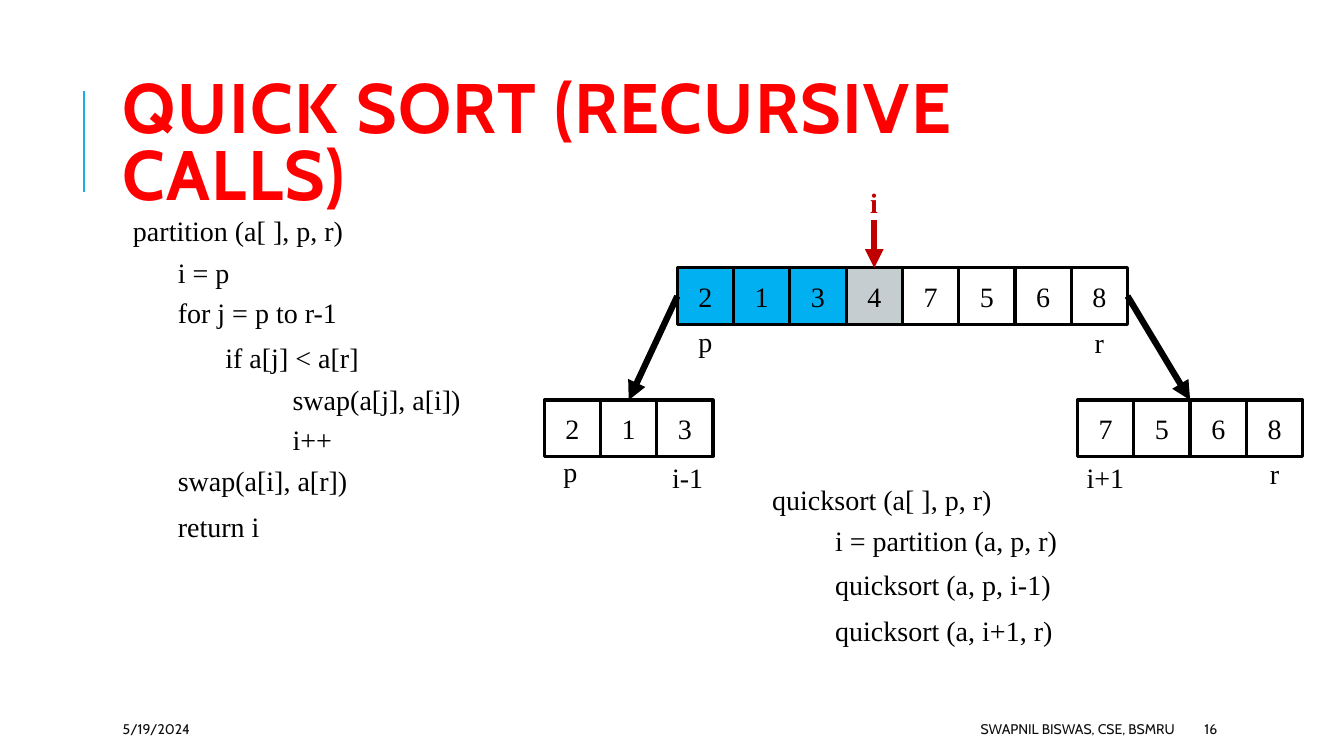
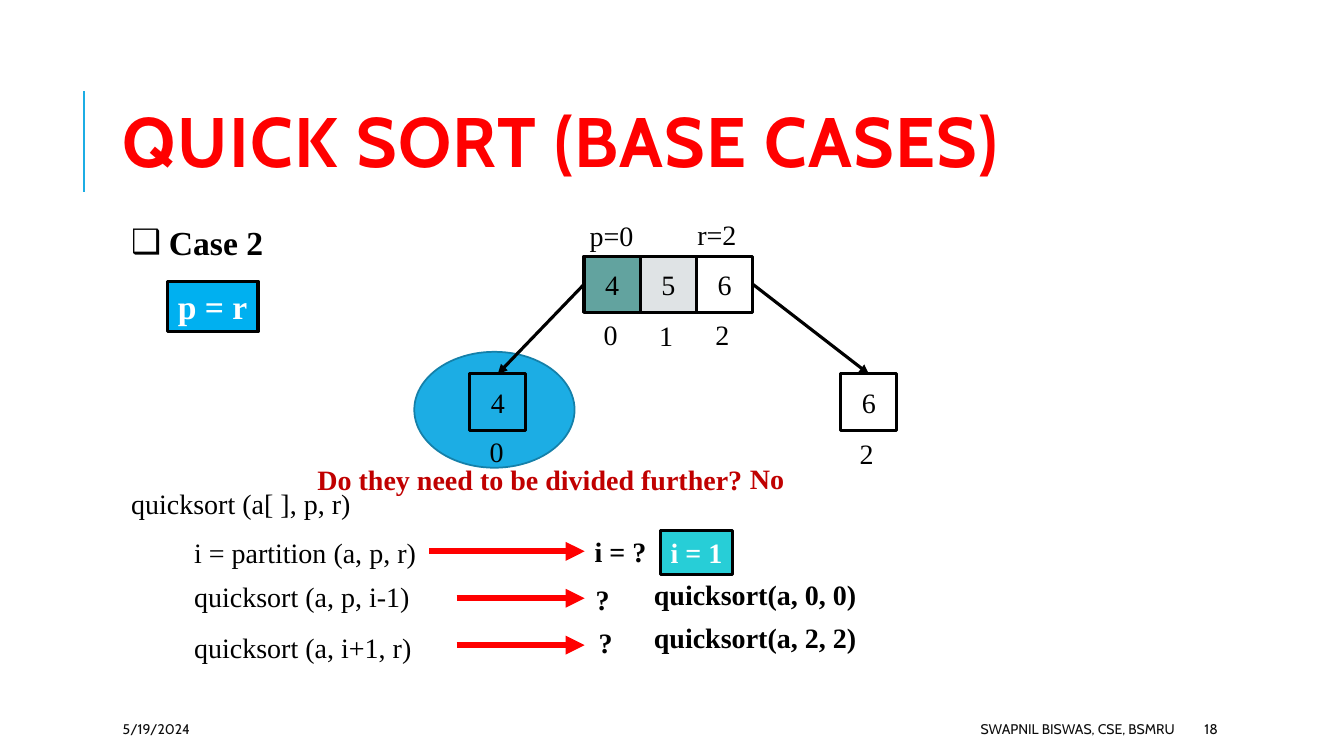
from dataclasses import dataclass

from lxml import etree
from pptx import Presentation
from pptx import util as u
from pptx.dml.color import RGBColor
from pptx.enum import shapes, text
from pptx.oxml import ns


@dataclass(frozen=True)
class Theme:
    heading_font: str = "Cabin"
    body_font: str = "Times New Roman"
    title_size: int = 50
    case_size: int = 24
    body_size: int = 20
    footer_size: int = 10
    title: str = "FF0000"
    arrow: str = "FF0000"
    alert: str = "C00000"
    ink: str = "000000"
    footer: str = "0D0D0D"
    white: str = "FFFFFF"
    accent: str = "1CADE4"
    accent_edge: str = "1580A9"
    smaller: str = "00B0F0"
    pivot: str = "C6CDD1"
    teal: str = "62A39F"
    pale: str = "DFE3E5"
    cyan: str = "27CED7"


theme = Theme()
CELL = 40.2
OUTLINE = 2.25
THICK = 4.5
FOOTERS = [(80.6, 170, "5/19/2024", text.PP_ALIGN.LEFT),
           (381.6, 464.4, "SWAPNIL BISWAS, CSE, BSMRU", text.PP_ALIGN.RIGHT)]
STYLES = {"plain": (theme.ink, False), "strong": (theme.ink, True), "alert": (theme.alert, True)}


def format_paragraph(paragraph, words, size=theme.body_size, colour=theme.ink, bold=False,
                     font=theme.body_font, align=text.PP_ALIGN.LEFT):
    paragraph.text = words
    paragraph.alignment = align
    paragraph.font.name = font
    paragraph.font.size = u.Pt(size)
    paragraph.font.bold = bold
    paragraph.font.color.rgb = RGBColor.from_string(colour)


def add_line(slide, start, end, colour, weight, arrow=True):
    """Draw a line; each end is an (x, y) point or a (shape, site) joint."""
    points = [(0, 0) if hasattr(place[0], "shape_id") else place for place in (start, end)]
    line = slide.shapes.add_connector(
        shapes.MSO_CONNECTOR.STRAIGHT, *(u.Pt(value) for point in points for value in point))
    for place, connect in ((start, line.begin_connect), (end, line.end_connect)):
        if hasattr(place[0], "shape_id"):
            connect(*place)
    line.line.color.rgb = RGBColor.from_string(colour)
    line.line.width = u.Pt(weight)
    if arrow:
        etree.SubElement(line.line._get_or_add_ln(), ns.qn("a:tailEnd"), type="triangle")
    etree.SubElement(line._element.spPr, ns.qn("a:effectLst"))


# Rows: name -> left, top, values, fills by index.
# Lists: left, top, width, height, size, bold, bullet, lines of (indent, space before, words).
# Labels: left, top, width, words, style.
# Arrows: start, end, colour, weight; an end is a point or (row, index, site).
pages = [
    {
        "title": "QUICK SORT (RECURSIVE CALLS)",
        "number": "16",
        "ellipses": [],
        "rows": {
            "array": (483.8, 191.4, "21347568",
                      {0: theme.smaller, 1: theme.smaller, 2: theme.smaller, 3: theme.pivot}),
            "left": (388.8, 285.8, "213", {}),
            "right": (769.7, 285.8, "7568", {}),
        },
        "lists": [
            (87.8, 149, 260, 240, theme.body_size, False, None, [
                (0, 0, "partition (a[ ], p, r)"),
                (32, 5.8, "i = p"),
                (32, 4.4, "for j = p to r-1"),
                (66, 8.7, "if a[j] < a[r]"),
                (114, 5.8, "swap(a[j], a[i])"),
                (114, 4.4, "i++"),
                (32, 5.1, "swap(a[i], a[r])"),
                (32, 8.7, "return i")]),
            (544.3, 341.3, 250, 125, theme.body_size, False, None, [
                (0, 0, "quicksort (a[ ], p, r)"),
                (45, 5.1, "i = partition (a, p, r)"),
                (45, 7.2, "quicksort (a, p, i-1)"),
                (45, 8.7, "quicksort (a, i+1, r)")]),
        ],
        "labels": [
            (614.5, 128.9, 20.2, "i", "alert"),
            (491.8, 228.2, 24.5, "p", "plain"),
            (774.7, 229, 20.9, "r", "plain"),
            (395.3, 321.1, 24.5, "p", "plain"),
            (473, 325.4, 36.7, "i-1", "plain"),
            (769, 325.4, 41.8, "i+1", "plain"),
            (900, 322.6, 20.9, "r", "plain"),
        ],
        "badges": [],
        "arrows": [
            ((624.5, 157), ("array", 3, 0), theme.alert, THICK),
            (("array", 0, 1), ("left", 1, 0), theme.ink, THICK),
            (("array", 7, 3), (769.7 + 2 * CELL, 285.8), theme.ink, THICK),
        ],
    },
    {
        "title": "QUICK SORT (BASE CASES)",
        "number": "18",
        "ellipses": [(295.9, 251.3, 114.5, 82.8)],
        "rows": {
            "array": (417.2, 183, "456", {0: theme.teal, 1: theme.pale}),
            "left": (335.5, 267.1, "4", {}),
            "right": (600.5, 267.1, "6", {}),
        },
        "lists": [
            (86.4, 154.8, 130, 36, theme.case_size, True, "❑", [(27, 0, "Case 2")]),
            (86.4, 344.2, 250, 135, theme.body_size, False, None, [
                (0, 0, "quicksort (a[ ], p, r)"),
                (45, 10.8, "i = partition (a, p, r)"),
                (45, 7.2, "quicksort (a, p, i-1)"),
                (45, 12.3, "quicksort (a, i+1, r)")]),
        ],
        "labels": [
            (414, 152.6, 46, "p=0", "plain"),
            (491, 152, 42.5, "r=2", "plain"),
            (424.1, 223.2, 24.5, "0", "plain"),
            (463.7, 223.9, 24.5, "1", "plain"),
            (504, 223.2, 24.5, "2", "plain"),
            (342.7, 306.7, 24.5, "0", "plain"),
            (607, 308.2, 24.5, "2", "plain"),
            (219.6, 326.9, 320.4, "Do they need to be divided further?", "alert"),
            (528.5, 326.2, 39.6, "No", "alert"),
            (417.6, 378, 51.8, "i = ?", "strong"),
            (418.3, 412.6, 24.5, "?", "strong"),
            (420.5, 443.5, 24.5, "?", "strong"),
            (460, 409, 160, "quicksort(a, 0, 0)", "strong"),
            (460, 440, 160, "quicksort(a, 2, 2)", "strong"),
        ],
        "badges": [
            (119.5, 200.9, 64.8, 36, "p = r", theme.case_size, theme.smaller),
            (471.6, 378.7, 51.8, 31.7, "i = 1", theme.body_size, theme.cyan),
        ],
        "arrows": [
            (("array", 0, 1), ("left", 0, 0), theme.ink, OUTLINE),
            (("array", 2, 3), ("right", 0, 0), theme.ink, OUTLINE),
        ] + [((start, 393.8 + 33.5 * step), (417.6, 393.8 + 33.5 * step), theme.arrow, THICK)
             for step, start in enumerate((306.7, 326.2, 326.2))],
    },
]

presentation = Presentation()
presentation.slide_width = u.Pt(960)
presentation.slide_height = u.Pt(540)
two_content = presentation.slide_layouts[3]

for page in pages:
    slide = presentation.slides.add_slide(two_content)
    add_line(slide, (60, 136.8), (60, 64.8), theme.accent, 1.5, arrow=False)

    title = slide.shapes.title
    title.left, title.top, title.width, title.height = map(u.Pt, (80.6, 46.1, 765.4, 118.1))
    title.text_frame.auto_size = text.MSO_AUTO_SIZE.NONE
    title.text_frame.vertical_anchor = text.MSO_ANCHOR.MIDDLE
    paragraph = title.text_frame.paragraphs[0]
    format_paragraph(paragraph, page["title"], theme.title_size, theme.title, True,
                     theme.heading_font)
    paragraph.line_spacing = 0.8
    paragraph.runs[0]._r.get_or_add_rPr().set("spc", "100")

    for left, width, words, align in FOOTERS + [
            (853.2, 76.3, page["number"], text.PP_ALIGN.LEFT)]:
        footer = slide.shapes.add_textbox(*map(u.Pt, (left, 509.8, width, 21.6)))
        footer.text_frame.word_wrap = True
        footer.text_frame.vertical_anchor = text.MSO_ANCHOR.MIDDLE
        format_paragraph(footer.text_frame.paragraphs[0], words, theme.footer_size,
                         theme.footer, False, theme.heading_font, align)

    for bounds in page["ellipses"]:
        ellipse = slide.shapes.add_shape(shapes.MSO_SHAPE.OVAL, *map(u.Pt, bounds))
        ellipse.shadow.inherit = False
        ellipse.fill.solid()
        ellipse.fill.fore_color.rgb = RGBColor.from_string(theme.accent)
        ellipse.line.color.rgb = RGBColor.from_string(theme.accent_edge)
        ellipse.line.width = u.Pt(1.25)

    boxes = [((name, index), (left + index * CELL, top, CELL, CELL), value,
              theme.body_size, theme.ink, False, fills.get(index))
             for name, (left, top, values, fills) in page["rows"].items()
             for index, value in enumerate(values)]
    boxes += [(words, bounds, words, size, theme.white, True, fill)
              for *bounds, words, size, fill in page["badges"]]
    drawn = {}
    for key, bounds, words, size, colour, bold, fill in boxes:
        box = slide.shapes.add_shape(shapes.MSO_SHAPE.RECTANGLE, *map(u.Pt, bounds))
        box.shadow.inherit = False
        if fill:
            box.fill.solid()
            box.fill.fore_color.rgb = RGBColor.from_string(fill)
        else:
            box.fill.background()
        box.line.color.rgb = RGBColor.from_string(theme.ink)
        box.line.width = u.Pt(OUTLINE)
        box.text_frame.word_wrap = False
        box.text_frame.vertical_anchor = text.MSO_ANCHOR.MIDDLE
        format_paragraph(box.text_frame.paragraphs[0], words, size, colour, bold,
                         align=text.PP_ALIGN.CENTER)
        drawn[key] = box

    for body, (*bounds, size, bold, bullet, lines) in zip(
            list(slide.placeholders)[1:], page["lists"]):
        body.left, body.top, body.width, body.height = map(u.Pt, bounds)
        frame = body.text_frame
        frame.auto_size = text.MSO_AUTO_SIZE.NONE
        frame.vertical_anchor = text.MSO_ANCHOR.TOP
        for row, (indent, space, words) in enumerate(lines):
            paragraph = frame.add_paragraph() if row else frame.paragraphs[0]
            properties = paragraph._p.get_or_add_pPr()
            properties.set("marL", str(u.Pt(indent)))
            properties.set("indent", str(u.Pt(-indent if bullet else 0)))
            if bullet:
                etree.SubElement(properties, ns.qn("a:buChar"), char=bullet)
            else:
                etree.SubElement(properties, ns.qn("a:buNone"))
            format_paragraph(paragraph, words, size, bold=bold)
            paragraph.space_before = u.Pt(space)

    for left, top, width, words, style in page["labels"]:
        label = slide.shapes.add_textbox(*map(u.Pt, (left, top, width, 31.5)))
        label.text_frame.word_wrap = False
        label.text_frame.auto_size = text.MSO_AUTO_SIZE.SHAPE_TO_FIT_TEXT
        colour, bold = STYLES[style]
        format_paragraph(label.text_frame.paragraphs[0], words, colour=colour, bold=bold)

    for start, end, colour, weight in page["arrows"]:
        start, end = ((drawn[place[:2]], place[2]) if len(place) == 3 else place
                      for place in (start, end))
        add_line(slide, start, end, colour, weight)

presentation.save("out.pptx")
